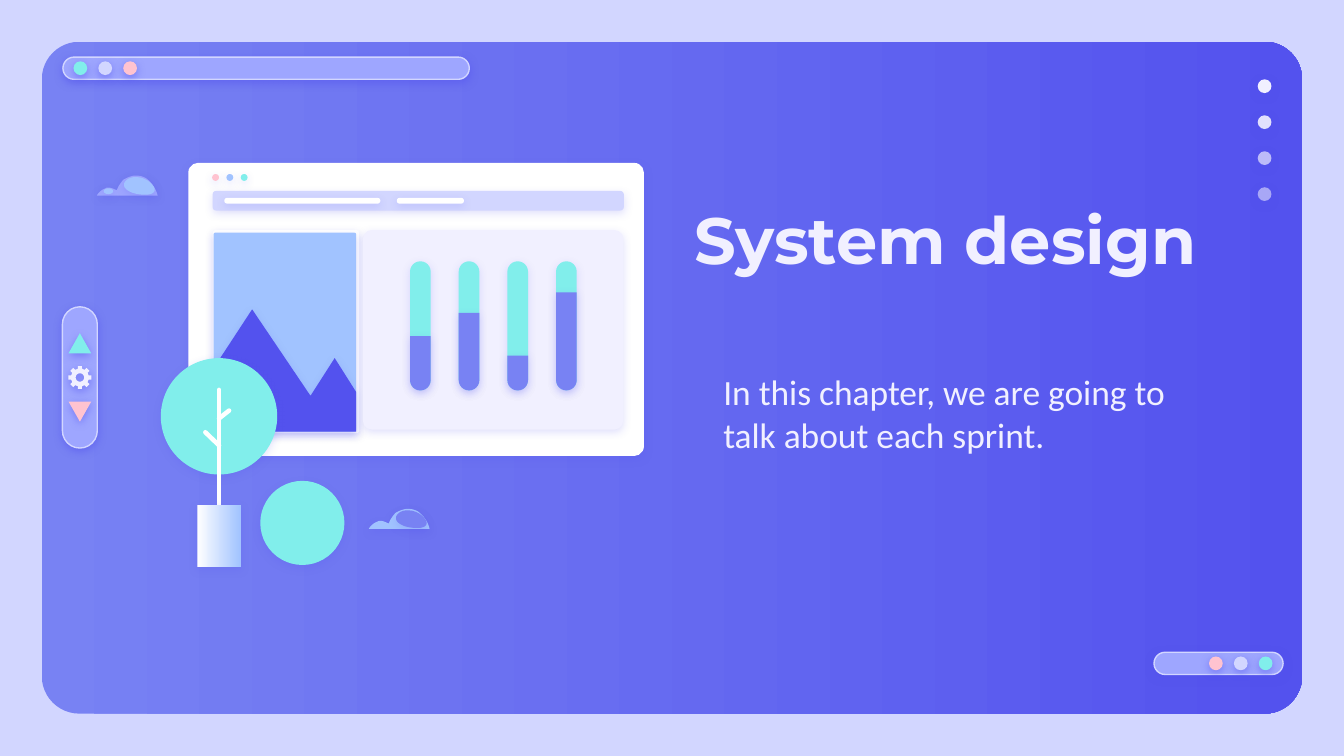
from math import cos, pi, sin

from lxml.etree import SubElement
from pptx import Presentation
from pptx.dml.color import RGBColor
from pptx.enum.shapes import MSO_CONNECTOR, MSO_SHAPE
from pptx.enum.text import MSO_ANCHOR
from pptx.oxml.ns import qn
from pptx.util import Cm, Pt

COLORS = {
    "lilac": "D2D6FF", "indigo": "5352EE", "violet": "7882F3",
    "periwinkle": "9EA6FF", "sky": "A1C3FF", "aqua": "81EEEB",
    "pink": "FFC3D0", "mist": "F1F0FF", "white": "FFFFFF",
}
# Outlines as fractions of the cloud's box: a start, then cubic curves
CLOUD = ((1, 1), [
    (.98, .67, .9, .33, .81, .13), (.75, .03, .7, 0, .64, 0),
    (.57, 0, .5, .1, .44, .2), (.4, .33, .35, .53, .33, .73),
    (.28, .67, .24, .6, .2, .6), (.17, .6, .15, .6, .15, .63),
    (.09, .67, .02, .87, 0, 1)])
CLOUD_FACE = ((.64, .07), [
    (.6, .07, .52, .1, .48, .25), (.44, .35, .44, .5, .46, .6),
    (.52, .85, .66, .95, .79, .95), (.88, .95, .93, .9, .95, .75),
    (.97, .55, .83, .07, .64, .07)])
MOUNTAINS = [(.27, .385), (0, .68), (0, 1), (1, 1), (1, .8), (.85, .63), (.68, .82)]


def rgb(color):
    return RGBColor.from_string(COLORS[color])


def add_shadow(shape, opacity):
    shape.shadow.inherit = False
    effects = shape._element.spPr.find(qn("a:effectLst"))
    outer = SubElement(effects, qn("a:outerShdw"), blurRad=str(Pt(4.5)), dist=str(Pt(1.5)),
                       dir="5400000", algn="bl", rotWithShape="0")
    tint = SubElement(outer, qn("a:srgbClr"), val=COLORS["indigo"])
    SubElement(tint, qn("a:alpha"), val=str(opacity * 1000))


def paint(shape, color, shadow=17, border=None, opacity=100):
    """Fill with one colour, or with a left-to-right gradient for a pair."""
    if isinstance(color, tuple):
        shape.fill.gradient()
        shape.fill.gradient_angle = 0
        for stop, name in zip(shape.fill.gradient_stops, color):
            stop.color.rgb = rgb(name)
    else:
        shape.fill.solid()
        shape.fill.fore_color.rgb = rgb(color)
    if opacity < 100:
        tint = shape._element.spPr.find(".//" + qn("a:srgbClr"))
        SubElement(tint, qn("a:alpha"), val=str(opacity * 1000))
    if border:
        shape.line.color.rgb = rgb(border)
        shape.line.width = Pt(0.75)
    else:
        shape.line.fill.background()
    if shadow:
        add_shadow(shape, shadow)
    else:
        shape.shadow.inherit = False
    return shape


def add_preset(slide, preset, x, y, w, h, color, adjust=(), **style):
    shape = slide.shapes.add_shape(preset, Cm(x), Cm(y), Cm(w), Cm(h))
    for i, value in enumerate(adjust):
        shape.adjustments[i] = value
    return paint(shape, color, **style)


def add_rounded(slide, x, y, w, h, color, corner=0.5, **style):
    return add_preset(slide, MSO_SHAPE.ROUNDED_RECTANGLE, x, y, w, h, color, [corner], **style)


def add_circle(slide, x, y, size, color, **style):
    return add_preset(slide, MSO_SHAPE.OVAL, x, y, size, size, color, **style)


def add_outline(slide, contours, color, **style):
    contours = [[(Cm(x), Cm(y)) for x, y in contour] for contour in contours]
    builder = slide.shapes.build_freeform(*contours[0][0], scale=1.0)
    for i, contour in enumerate(contours):
        if i:
            builder.move_to(*contour[0])
        builder.add_line_segments(contour[1:], close=True)
    return paint(builder.convert_to_shape(), color, **style)


def scaled(points, x, y, w, h):
    return [(x + px * w, y + py * h) for px, py in points]


def curve_points(start, curves, steps=8):
    points = [start]
    for ax, ay, bx, by, cx, cy in curves:
        sx, sy = points[-1]
        for t in (i / steps for i in range(1, steps + 1)):
            u = 1 - t
            points.append(tuple(u**3 * s + 3 * u * u * t * a + 3 * u * t * t * b + t**3 * c
                                for s, a, b, c in ((sx, ax, bx, cx), (sy, ay, by, cy))))
    return points


def toolbar(slide, x, y, w, h, dots_left, dot_colors):
    add_rounded(slide, x, y, w, h, "periwinkle", border="lilac", shadow=50)
    for i, color in enumerate(dot_colors):
        add_circle(slide, x + dots_left + i * 0.47, y + 0.08, 0.26, color, shadow=50)


def page_dots(slide, x, y, size, step):
    for i, opacity in enumerate((100, 90, 67, 54)):
        add_circle(slide, x, y + i * step, size, "mist", shadow=50, opacity=opacity)


def cloud(slide, x, y, w, h, body, face):
    for outline, color in ((CLOUD, body), (CLOUD_FACE, face)):
        add_outline(slide, [scaled(curve_points(*outline), x, y, w, h)], color)


def sliders(slide, x, y, w, h):
    add_rounded(slide, x, y, w, h, "mist", 0.044)
    bar_w, bar_h, bar_y = 0.39, 2.44, y + 0.59
    bars = [(x + 0.89 + i * 0.92, level) for i, level in enumerate((0.42, 0.6, 0.27, 0.76))]
    for bar_x, _ in bars:
        add_rounded(slide, bar_x, bar_y, bar_w, bar_h, "aqua")
    for bar_x, level in bars:
        add_preset(slide, MSO_SHAPE.ROUND_2_SAME_RECTANGLE, bar_x, bar_y + bar_h * (1 - level),
                   bar_w, bar_h * level, "violet", [0, 0.5])


def browser_window(slide, x, y, w, h):
    add_rounded(slide, x, y, w, h, "white", 0.033)
    # Framed landscape
    add_rounded(slide, x + 0.46, y + 1.27, 2.77, 3.84, "white", 0.02)
    photo = (x + 0.48, y + 1.32, 2.69, 3.76)
    add_rounded(slide, *photo, "sky", 0.01)
    add_outline(slide, [scaled(MOUNTAINS, *photo)], "indigo")
    # Address bar and window buttons
    add_rounded(slide, x + 0.46, y + 0.53, 7.77, 0.37, "lilac", 0.17)
    for left, width in ((0.68, 2.95), (3.94, 1.27)):
        add_rounded(slide, x + left, y + 0.66, width, 0.11, "white")
    for i, color in enumerate(("pink", "sky", "aqua")):
        add_circle(slide, x + 0.45 + i * 0.27, y + 0.21, 0.13, color)
    sliders(slide, x + 3.3, y + 1.27, 4.92, 3.77)


def tree(slide, x, y, crown):
    add_circle(slide, x, y, crown, "aqua")
    middle = x + crown / 2
    # Trunk, left branch, right branch
    for x1, y1, x2, y2 in ((0, 0.6, 0, 2.95), (-0.26, 1.4, 0, 1.65), (0, 1.14, 0.19, 0.99)):
        branch = slide.shapes.add_connector(MSO_CONNECTOR.STRAIGHT, Cm(middle + x1), Cm(y + y1),
                                            Cm(middle + x2), Cm(y + y2))
        branch.line.color.rgb = rgb("white")
        branch.line.width = Pt(2.4)
        branch.line._get_or_add_ln().set("cap", "rnd")
        SubElement(branch._element.spPr, qn("a:effectLst"))
    add_preset(slide, MSO_SHAPE.RECTANGLE, middle - 0.41, y + 2.78, 0.82, 1.17, ("white", "sky"))


def illustration(slide, x, y):
    add_circle(slide, x + 3.09, y + 6.01, 1.59, "aqua")
    browser_window(slide, x + 1.73, y, 8.61, 5.54)
    cloud(slide, x, y + 0.24, 1.15, 0.38, "periwinkle", "sky")
    add_preset(slide, MSO_SHAPE.OVAL, x + 0.13, y + 0.48, 0.18, 0.11, "sky")
    tree(slide, x + 1.21, y + 3.69, 2.2)
    cloud(slide, x + 5.14, y + 6.54, 1.15, 0.38, "sky", "violet")


def ring(cx, cy, *spokes):
    return [(cx + r * cos(a), cy + r * sin(a)) for r, a in spokes]


def control_strip(slide, x, y, w, h):
    add_rounded(slide, x, y, w, h, "periwinkle", border="lilac", shadow=50)
    for top, color, turn in ((0.5, "aqua", 0), (1.79, "pink", 180)):
        arrow = add_preset(slide, MSO_SHAPE.ISOSCELES_TRIANGLE, x + (w - 0.43) / 2, y + top,
                           0.43, 0.38, color, shadow=50)
        arrow.rotation = turn
    # Gear with eight teeth and a hole
    center = (x + w / 2, y + h / 2)
    teeth = [(r, i * pi / 4 + a) for i in range(8)
             for r, a in ((0.17, -0.24), (0.22, -0.18), (0.22, 0.18), (0.17, 0.24))]
    hole = [(0.08, -i * pi / 12) for i in range(24)]
    add_outline(slide, [ring(*center, *teeth), ring(*center, *hole)], "mist", shadow=52)


def text_block(slide, x, y, w, h, text, font, size, bold, anchor):
    frame = slide.shapes.add_textbox(Cm(x), Cm(y), Cm(w), Cm(h)).text_frame
    frame.word_wrap = True
    frame.vertical_anchor = anchor
    frame.margin_left = frame.margin_right = frame.margin_top = frame.margin_bottom = Cm(0.25)
    paragraph = frame.paragraphs[0]
    paragraph.text = text
    paragraph.font.name, paragraph.font.size, paragraph.font.bold = font, Pt(size), bold
    paragraph.font.color.rgb = rgb("mist")


def main():
    deck = Presentation()
    deck.slide_width, deck.slide_height = Cm(25.4), Cm(14.29)
    slide = deck.slides.add_slide(deck.slide_layouts[6])
    slide.background.fill.solid()
    slide.background.fill.fore_color.rgb = rgb("lilac")

    # Backdrop and its decorations
    add_rounded(slide, 0.79, 0.79, 23.82, 12.7, ("violet", "indigo"), 0.056, shadow=0)
    toolbar(slide, 1.19, 1.08, 7.68, 0.42, 0.2, ("aqua", "lilac", "pink"))
    toolbar(slide, 21.81, 12.33, 2.44, 0.42, 1.04, ("pink", "lilac", "aqua"))
    page_dots(slide, 23.77, 1.5, 0.26, 0.68)

    # Chapter heading
    text_block(slide, 12.88, 3.51, 12.8, 1.6, "System design",
               "Montserrat", 35, True, MSO_ANCHOR.TOP)
    text_block(slide, 13.42, 5.03, 9.19, 5.54,
               "In this chapter, we are going to talk about each sprint.",
               "Calibri", 19, False, MSO_ANCHOR.MIDDLE)

    illustration(slide, 1.83, 3.08)
    control_strip(slide, 1.18, 5.8, 0.66, 2.67)
    deck.save("out.pptx")


if __name__ == "__main__":
    main()
